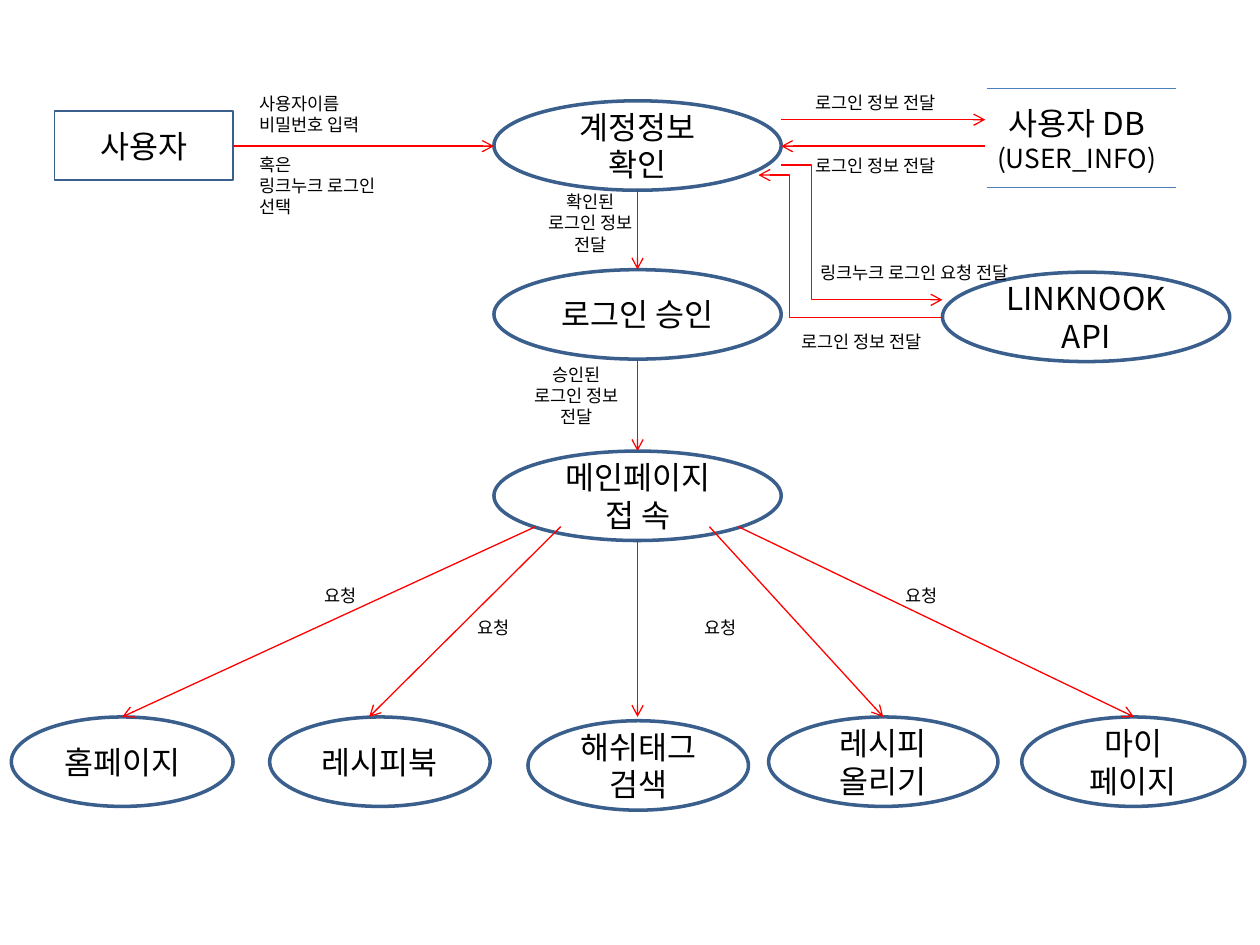
from lxml import etree
from pptx import Presentation
from pptx import util as u
from pptx.dml.color import RGBColor
from pptx.enum import shapes, text
from pptx.oxml.ns import qn

FONT = "Noto Sans CJK KR"
COLORS = {"text": "000000", "outline": "3A5F8C", "arrow": "FF0000",
          "store": "4B7EBC", "paper": "FFFFFF"}

# Process grid: one main column, one row of pages below it
CENTER, PROCESS_WIDTH, HEIGHT = 5.06, 2.28, 0.71
MAIN_LEFT, MAIN_RIGHT = CENTER - PROCESS_WIDTH / 2, CENTER + PROCESS_WIDTH / 2
ACCOUNT, APPROVAL, MAIN, PAGES = 0.8, 2.14, 3.58, 5.69
API_LEFT, API_TOP = 7.48, 2.16
FLOW, DB_EDGE, FAN = 1.16, 7.82, 4.18

# Ellipses: lines of text, left, top, width
PROCESSES = [
    (["계정정보", "확인"], MAIN_LEFT, ACCOUNT, PROCESS_WIDTH),
    (["로그인 승인"], MAIN_LEFT, APPROVAL, PROCESS_WIDTH),
    (["LINKNOOK API"], API_LEFT, API_TOP, PROCESS_WIDTH),
    (["메인페이지", "접 속"], MAIN_LEFT, MAIN, PROCESS_WIDTH),
    (["홈페이지"], 0.09, PAGES, 1.76),
    (["레시피북"], 2.14, PAGES, 1.75),
    (["해쉬태그", "검색"], 4.19, PAGES + 0.03, 1.75),
    (["레시피", "올리기"], 6.1, PAGES, 1.82),
    (["마이", "페이지"], 8.11, PAGES, 1.77),
]

# Straight arrows: start, end
ARROWS = [
    ((1.85, FLOW), (MAIN_LEFT, FLOW)),
    ((MAIN_RIGHT, 0.95), (DB_EDGE, 0.95)),
    ((DB_EDGE, FLOW), (MAIN_RIGHT, FLOW)),
    ((CENTER, ACCOUNT + HEIGHT), (CENTER, APPROVAL)),
    ((CENTER, APPROVAL + HEIGHT), (CENTER, MAIN)),
    ((CENTER, MAIN + HEIGHT), (CENTER, PAGES)),
    ((4.25, FAN), (0.97, PAGES)),
    ((4.45, FAN), (2.93, PAGES)),
    ((5.63, FAN), (7.01, PAGES)),
    ((5.86, FAN), (9.0, PAGES)),
]
# Bent arrows: start, end, share of the width before the bend
BENT_ARROWS = [
    ((MAIN_RIGHT, 1.31), (API_LEFT, 2.38), 0.19),
    ((API_LEFT, 2.52), (6.02, 1.39), 0.83),
]

# Labels: lines of text, left, top, width
LEFT_LABELS = [
    (["사용자이름", "비밀번호 입력"], 1.96, 0.69, 1.09),
    (["혹은", "링크누크 로그인", "선택"], 1.96, 1.17, 1.23),
    (["로그인 정보 전달"], 6.37, 0.68, 1.28),
    (["로그인 정보 전달"], 6.37, 1.18, 1.28),
    (["링크누크 로그인 요청 전달"], 6.41, 2.03, 1.89),
    (["로그인 정보 전달"], 6.26, 2.58, 1.28),
]
CENTERED_LABELS = [
    (["확인된", "로그인 정보", "전달"], 4.2, 1.47, 0.97),
    (["승인된", "로그인 정보", "전달"], 4.09, 2.84, 0.97),
    *[(["요청"], left, top, 0.97) for left, top in
      ((2.22, 4.59), (3.43, 4.85), (5.23, 4.85), (6.83, 4.59))],
]


def color(name):
    return RGBColor.from_string(COLORS[name])


def write(frame, lines, sizes, align):
    for index, (line, size) in enumerate(zip(lines, sizes)):
        paragraph = frame.paragraphs[0] if index == 0 else frame.add_paragraph()
        paragraph.alignment = align
        run = paragraph.add_run()
        run.text = line
        run.font.size = u.Pt(size)
        run.font.name = FONT
        run.font.color.rgb = color("text")
        east_asian = etree.SubElement(run.font._element, qn("a:ea"))
        east_asian.set("typeface", FONT)


def add_node(slide, kind, lines, left, top, width, height, line_width):
    shape = slide.shapes.add_shape(kind, *map(u.Inches, (left, top, width, height)))
    shape.shadow.inherit = False
    shape.fill.background()
    shape.line.color.rgb = color("outline")
    shape.line.width = u.Pt(line_width)
    shape.text_frame.word_wrap = True
    shape.text_frame.vertical_anchor = text.MSO_ANCHOR.MIDDLE
    write(shape.text_frame, lines, [18] * len(lines), text.PP_ALIGN.CENTER)
    return shape


def add_line(slide, start, end, line_color="arrow", bend=None):
    kind = shapes.MSO_CONNECTOR.STRAIGHT if bend is None else shapes.MSO_CONNECTOR.ELBOW
    connector = slide.shapes.add_connector(kind, *map(u.Inches, start + end))
    connector.line.color.rgb = color(line_color)
    connector.line.width = u.Pt(0.75)
    properties = connector._element.spPr
    etree.SubElement(properties, qn("a:effectLst"))
    if line_color == "arrow":
        etree.SubElement(connector.line._get_or_add_ln(), qn("a:tailEnd"), type="arrow")
    if bend is not None:
        geometry = properties.find(qn("a:prstGeom"))
        guides = geometry.find(qn("a:avLst"))
        if guides is None:
            guides = etree.SubElement(geometry, qn("a:avLst"))
        etree.SubElement(guides, qn("a:gd"), name="adj1", fmla=f"val {round(bend * 100000)}")


def add_label(slide, lines, left, top, width, align, wrap, sizes=None):
    sizes = sizes or [10] * len(lines)
    height = 0.1 + sum(sizes) * 0.017
    box = slide.shapes.add_textbox(*map(u.Inches, (left, top, width, height)))
    box.text_frame.word_wrap = wrap
    box.text_frame.auto_size = text.MSO_AUTO_SIZE.SHAPE_TO_FIT_TEXT
    write(box.text_frame, lines, sizes, align)


def main():
    presentation = Presentation()
    presentation.slide_width, presentation.slide_height = u.Inches(10), u.Inches(7.5)
    slide = presentation.slides.add_slide(presentation.slide_layouts[6])

    # User and processes
    user = add_node(slide, shapes.MSO_SHAPE.RECTANGLE, ["사용자"], 0.43, 0.88, 1.42, 0.55, 0.75)
    user.fill.solid()
    user.fill.fore_color.rgb = color("paper")
    for lines, left, top, width in PROCESSES:
        add_node(slide, shapes.MSO_SHAPE.OVAL, lines, left, top, width, HEIGHT, 2)

    # Data flows
    for start, end in ARROWS:
        add_line(slide, start, end)
    for start, end, bend in BENT_ARROWS:
        add_line(slide, start, end, bend=bend)

    # Flow labels
    for label in LEFT_LABELS:
        add_label(slide, *label, text.PP_ALIGN.LEFT, False)
    for label in CENTERED_LABELS:
        add_label(slide, *label, text.PP_ALIGN.CENTER, True)

    # User data store
    for y in (0.7, 1.49):
        add_line(slide, (7.83, y), (9.33, y), "store")
    add_label(slide, ["사용자 DB", "(USER_INFO)"], 7.76, 0.78, 1.57,
              text.PP_ALIGN.CENTER, True, [18, 15])

    presentation.save("out.pptx")


if __name__ == "__main__":
    main()
